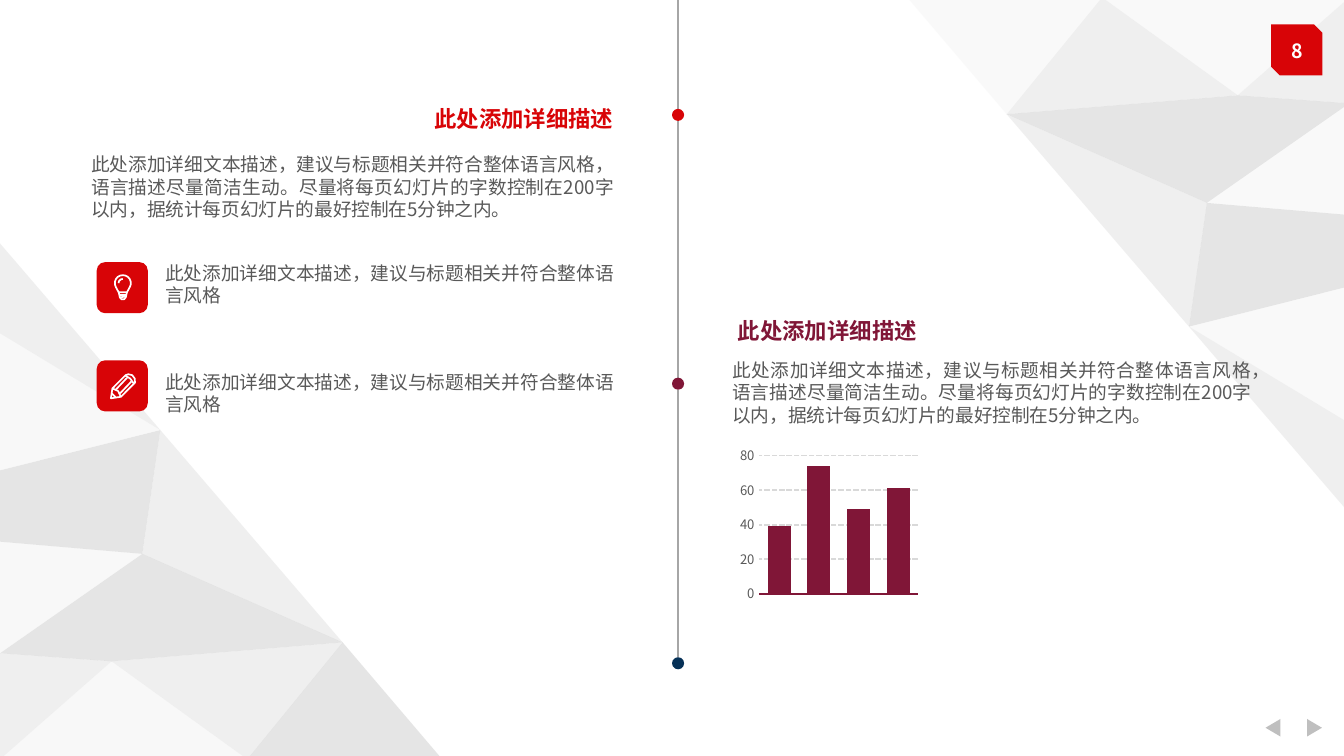
from dataclasses import dataclass
from math import cos, radians, sin

from lxml.etree import SubElement
from pptx import Presentation
from pptx.chart.data import CategoryChartData
from pptx.dml.color import RGBColor
from pptx.enum.chart import XL_CHART_TYPE as ChartType, XL_TICK_LABEL_POSITION as TickLabels, XL_TICK_MARK as Tick
from pptx.enum.dml import MSO_LINE as Dash
from pptx.enum.shapes import MSO_CONNECTOR as Connector, MSO_SHAPE as Shape
from pptx.enum.text import MSO_AUTO_SIZE as AutoSize, PP_ALIGN as Align
from pptx.oxml import parse_xml
from pptx.oxml.ns import nsdecls, qn
from pptx.util import Pt


@dataclass(frozen=True)
class Theme:
    font: str = "Noto Sans CJK SC"
    red: str = "D80407"
    wine: str = "801637"
    navy: str = "063157"
    white: str = "FFFFFF"
    ink: str = "595959"
    rail: str = "A6A6A6"
    grid: str = "D9D9D9"
    pale: str = "F2F2F2"
    mid: str = "D9D9D9"
    dark: str = "BFBFBF"
    heading: float = 12
    body: float = 10
    number: float = 10.5
    axis: float = 7


T = Theme()
HEADING = "此处添加详细描述"
DETAIL = ("此处添加详细文本描述，建议与标题相关并符合整体语言风格，语言描述尽量简洁生动。"
          "尽量将每页幻灯片的字数控制在200字以内，据统计每页幻灯片的最好控制在5分钟之内。")
POINT = "此处添加详细文本描述，建议与标题相关并符合整体语言风格"

FACETS = [
    ("pale", [(663.1, 51.1), (590.4, -1.4), (722.9, -1.4)]),
    ("mid", [(663.1, 51.1), (722.9, -1.4), (722.9, 55.4)]),
    ("mid", [(590.4, -1.4), (663.1, 51.1), (539.3, 61.2)]),
    ("dark", [(539.3, 61.2), (663.1, 51.1), (722.9, 55.4), (646.6, 108.7)]),
    ("mid", [(539.3, 61.2), (646.6, 108.7), (637, 175)]),
    ("pale", [(646.6, 108.7), (722.9, 55.4), (722.9, 115.2)]),
    ("dark", [(646.6, 108.7), (722.9, 115.2), (722.9, 153.4), (637, 175)]),
    ("pale", [(637, 175), (722.9, 153.4), (722.9, 226.8)]),
    ("mid", [(637, 175), (722.9, 226.8), (722.9, 275)]),
    ("pale", [(590.4, -1.4), (539.3, 61.2), (486, -1.4)]),
]

ARC = [(14 + 4.3 * cos(radians(a)), 11.3 + 4.3 * sin(radians(a))) for a in range(150, 391, 20)]
GLINT = [(14 + 2.3 * cos(radians(a)), 11.3 + 2.3 * sin(radians(a))) for a in range(180, 271, 30)]
BULB = [
    [(11.8, 16.2), *ARC, (16.2, 16.2), (11.8, 16.2)],
    [(11.8, 16.2), (12.4, 18.9), (13.3, 19.9), (14.7, 19.9), (15.6, 18.9), (16.2, 16.2)],
    [(12.1, 17.5), (15.9, 17.5)],
    [(12.5, 18.9), (15.5, 18.5)],
    GLINT,
]
PENCIL = [
    [(7.6, 20.4), (8.4, 15.1), (15.5, 8), (17, 7.5), (19, 8), (20.4, 9.8), (20.5, 12), (13, 19.6), (7.6, 20.4)],
    [(15.3, 8.2), (18, 9.8), (20, 12.6)],
    [(8.4, 15.1), (11.5, 16.5), (13, 19.6)],
    [(10.4, 15.6), (16.3, 9.4)],
    [(12.5, 17.8), (18.6, 11.4)],
    [(8, 17.6), (10.2, 19.9)],
]


def color(value):
    return RGBColor.from_string(value)


def paint(shape, fill, opacity=None):
    shape.shadow.inherit = False
    shape.fill.solid()
    shape.fill.fore_color.rgb = color(fill)
    shape.line.fill.background()
    if opacity:
        tint = shape.fill._xPr.find(qn("a:solidFill"))[0]
        SubElement(tint, qn("a:alpha"), val=str(opacity * 1000))


def add_block(slide, preset, box, fill):
    block = slide.shapes.add_shape(preset, *map(Pt, box))
    paint(block, fill)


def add_outline(slide, points, close=True):
    corners = [(Pt(x), Pt(y)) for x, y in points]
    builder = slide.shapes.build_freeform(*corners[0])
    builder.add_line_segments(corners[1:], close=close)
    return builder.convert_to_shape()


def add_rule(slide, start, end):
    rule = slide.shapes.add_connector(Connector.STRAIGHT, *map(Pt, (*start, *end)))
    rule.line.color.rgb = color(T.rail)
    rule.line.width = Pt(0.75)
    SubElement(rule._element.spPr, qn("a:effectLst"))


def add_text(slide, box, words, size, ink, align=Align.LEFT, bold=False, wrap=True):
    frame = slide.shapes.add_textbox(*map(Pt, box)).text_frame
    frame.word_wrap = wrap
    frame.auto_size = AutoSize.SHAPE_TO_FIT_TEXT
    paragraph = frame.paragraphs[0]
    paragraph.alignment = align
    paragraph.line_spacing = Pt(size * 1.2)
    run = paragraph.add_run()
    run.text = words
    for key, value in {"name": T.font, "size": Pt(size), "bold": bold}.items():
        setattr(run.font, key, value)
    run.font.color.rgb = color(ink)
    SubElement(run._r.get_or_add_rPr(), qn("a:ea"), typeface=T.font)


def facets(slide, box):
    left, top, width, height = box
    for tone, points in FACETS:
        paint(add_outline(slide, [(left + x, top + y) for x, y in points]), getattr(T, tone), 40)
    for index, (tone, points) in enumerate(FACETS):
        last = index == len(FACETS) - 1
        turned = [(left + width - x, top + height - y) for x, y in points]
        paint(add_outline(slide, turned), T.dark if last else getattr(T, tone),
              50 if tone == "pale" and not last else 40)


def page_number(slide, box):
    left, top, width, height = box
    add_block(slide, Shape.SNIP_2_DIAG_RECTANGLE, box, T.red)
    add_text(slide, (left, top + 4.3, width, 20), "8", T.number, T.white, Align.CENTER, True, False)


def page_arrows(slide, box):
    left, top, width, height = box
    right, bottom, middle = left + width, top + height, top + height / 2
    for base, tip in ((left + 8, left), (right - 8, right)):
        paint(add_outline(slide, [(base, top), (tip, middle), (base, bottom)]), T.dark)


def timeline(slide, box):
    left, top, width, height = box
    center, start = left + width / 2, top
    for dot_top, tone in ((58.3, T.red), (202.3, T.wine), (top + height - width, T.navy)):
        add_rule(slide, (center, start), (center, dot_top))
        add_block(slide, Shape.OVAL, (left, dot_top, width, width), tone)
        start = dot_top + width


def icon_point(slide, box, strokes, text_top):
    left, top, width, height = box
    add_block(slide, Shape.ROUNDED_RECTANGLE, (left, top, height, height), T.red)
    for stroke in strokes:
        line = add_outline(slide, [(left + x, top + y) for x, y in stroke], close=False)
        line.shadow.inherit = False
        line.fill.background()
        line.line.color.rgb = color(T.white)
        line.line.width = Pt(0.9)
    add_text(slide, (left + 29.6, text_top, width - 29.6, 31.7), POINT, T.body, T.ink, Align.JUSTIFY)


def left_story(slide, box):
    left, top, width, height = box
    add_text(slide, (left + 9, top, width - 9, 21.6), HEADING, T.heading, T.red, Align.RIGHT, True)
    add_text(slide, (left, top + 26, width, 43.9), DETAIL, T.body, T.ink, Align.JUSTIFY)
    for strokes, icon_top, text_top in ((BULB, 87.8, 84.2), (PENCIL, 140.4, 142.6)):
        icon_point(slide, (left + 10, top + icon_top, width - 10, 27.4), strokes, top + text_top)


def column_chart(slide, box, plot):
    data = CategoryChartData()
    data.categories = ["1", "2", "3", "4"]
    data.add_series("1", (39, 74, 49, 61))
    chart = slide.shapes.add_chart(ChartType.COLUMN_CLUSTERED, *map(Pt, box), data).chart
    chart.has_legend = chart.has_title = False
    for key, value in {"name": T.font, "size": Pt(T.axis)}.items():
        setattr(chart.font, key, value)
    chart.font.color.rgb = color(T.ink)
    columns = chart.plots[0]
    columns.gap_width, columns.vary_by_categories = 73, False
    bars = columns.series[0].format.fill
    bars.solid()
    bars.fore_color.rgb = color(T.wine)
    scale, base = chart.value_axis, chart.category_axis
    for axis, settings in (
        (scale, {"minimum_scale": 0, "maximum_scale": 80, "major_unit": 20, "major_tick_mark": Tick.NONE}),
        (base, {"tick_label_position": TickLabels.NONE, "major_tick_mark": Tick.NONE}),
    ):
        for key, value in settings.items():
            setattr(axis, key, value)
    scale.format.line.fill.background()
    for line, tone, weight in ((scale.major_gridlines.format.line, T.grid, 1), (base.format.line, T.wine, 0.75)):
        line.color.rgb = color(tone)
        line.width = Pt(weight)
    scale.major_gridlines.format.line.dash_style = Dash.SQUARE_DOT
    x, y, w, h = ((plot[0] - box[0]) / box[2], (plot[1] - box[1]) / box[3], plot[2] / box[2], plot[3] / box[3])
    places = "".join(f'<c:{tag} val="{value:.4f}"/>' for tag, value in zip("xywh", (x, y, w, h)))
    area = chart._chartSpace.chart.plotArea
    for old in area.findall(qn("c:layout")):
        area.remove(old)
    area.insert(0, parse_xml(
        f'<c:layout {nsdecls("c")}><c:manualLayout><c:layoutTarget val="inner"/>'
        f'<c:xMode val="edge"/><c:yMode val="edge"/>{places}</c:manualLayout></c:layout>'))


def right_story(slide, box):
    left, top, width, height = box
    add_text(slide, (left + 3, top, width - 14, 21.6), HEADING, T.heading, T.wine, bold=True)
    add_text(slide, (left, top + 22.3, width, 43.9), DETAIL, T.body, T.ink, Align.JUSTIFY)
    column_chart(slide, (left + 3, top + 70, 106, 90), (left + 21.6, top + 77.8, 85, 74.2))


def main():
    deck = Presentation()
    deck.slide_width, deck.slide_height = Pt(720), Pt(405)
    slide = deck.slides.add_slide(deck.slide_layouts[6])
    facets(slide, (0, 0, 722.9, 405.4))
    page_arrows(slide, (678, 385.2, 30.2, 9.4))
    page_number(slide, (681, 13, 27.4, 27.4))
    timeline(slide, (360, 0, 6.5, 358.6))
    left_story(slide, (41.8, 52.6, 294, 175))
    right_story(slide, (385.2, 166.3, 292.3, 160))
    deck.save("out.pptx")


if __name__ == "__main__":
    main()
